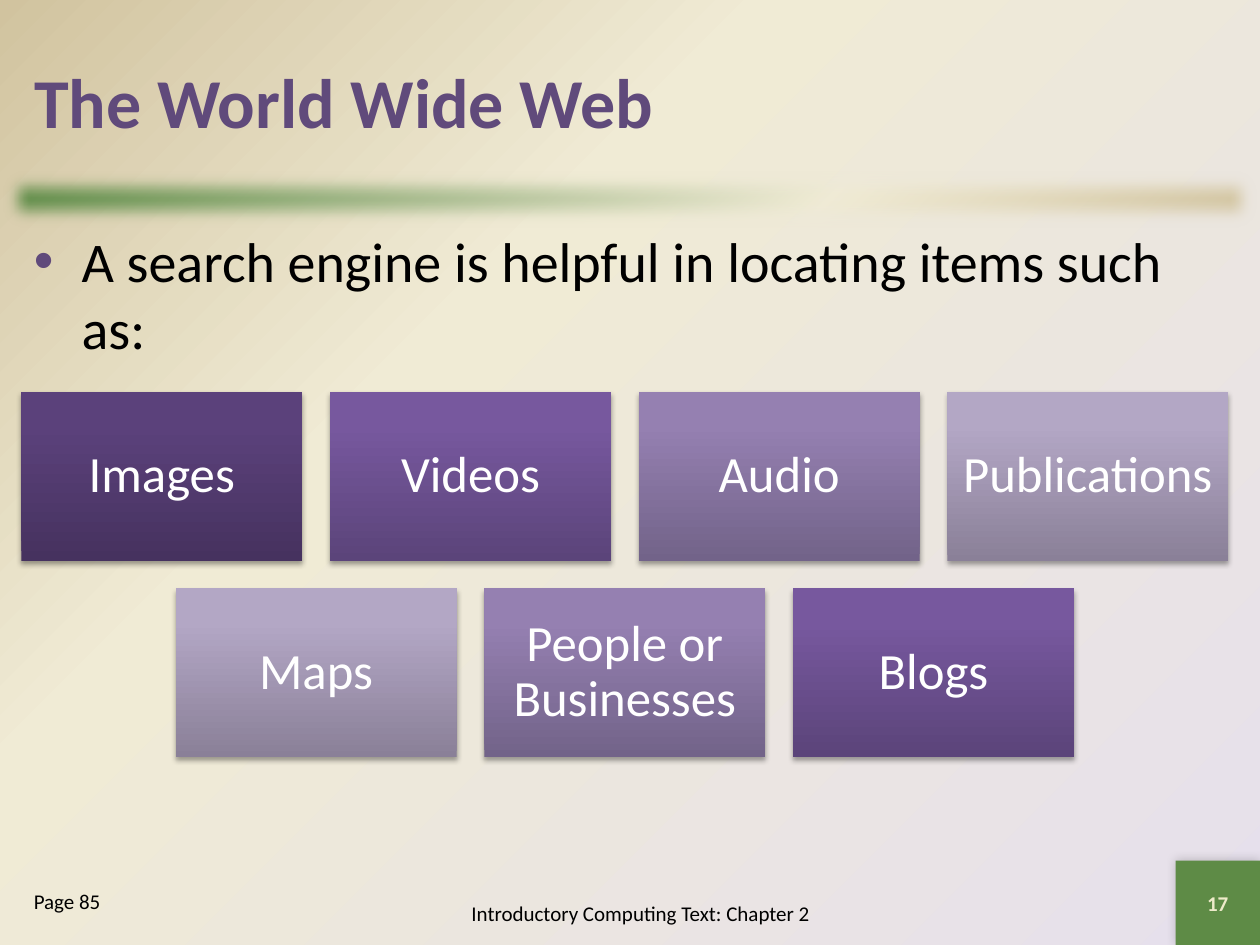
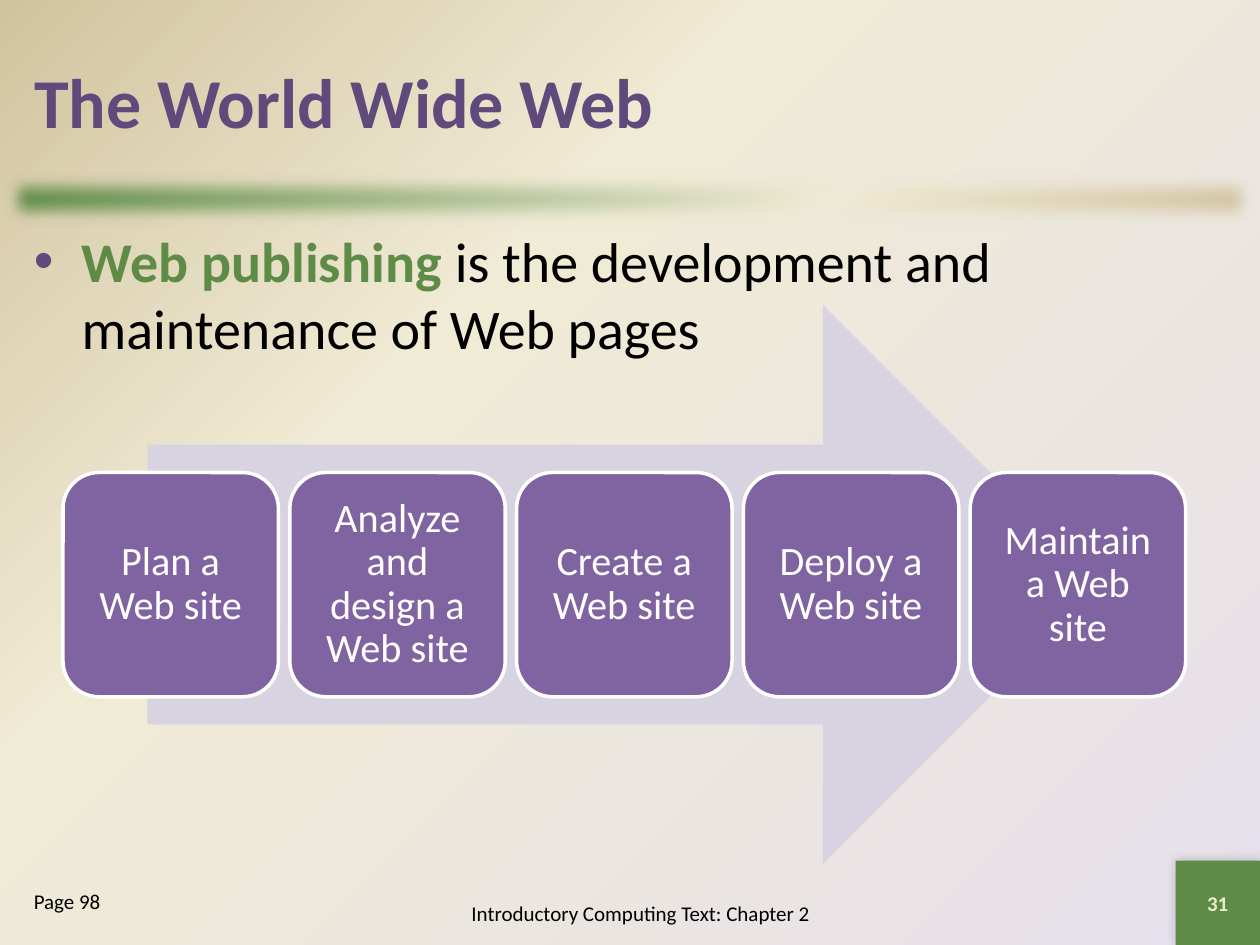
from pptx import Presentation
from pptx.dml.color import RGBColor
from pptx.enum.shapes import MSO_SHAPE
from pptx.enum.text import MSO_ANCHOR, PP_ALIGN
from pptx.oxml import parse_xml
from pptx.oxml.ns import nsdecls, qn
from pptx.util import Inches, Pt

FONT = "Calibri"
TITLE = "The World Wide Web"
FOOTER = "Introductory Computing Text: Chapter 2"
COLORS = {
    "title": "604A7B", "accent": "5E8B46", "text": "000000", "white": "FFFFFF",
    "number": "EEEBCA", "cream": "F0EBD5", "tan": "D1C39F", "lilac": "E6E0EC",
    "arrow": "D8D3E0", "step": "8064A2",
}
# Gradients of the search tiles, bottom to top
SHADES = {
    "darkest": [(0, "46325F"), (80, "5B417B"), (100, "5B407C")],
    "dark": [(0, "5B447A"), (80, "77589E"), (100, "7757A0")],
    "medium": [(0, "726389"), (80, "9580B1"), (100, "9580B3")],
    "light": [(0, "8A8098"), (80, "B3A7C5"), (100, "B4A7C7")],
}
TILE_ROWS = [
    [("Images", "darkest"), ("Videos", "dark"), ("Audio", "medium"),
     ("Publications", "light")],
    [("Maps", "light"), ("People or Businesses", "medium"), ("Blogs", "dark")],
]
STEPS = ["Plan a Web site", "Analyze and design a Web site", "Create a Web site",
         "Deploy a Web site", "Maintain a Web site"]
CORNER = ('<a:path path="circle"><a:fillToRect l="100000" t="100000"/></a:path>'
          '<a:tileRect r="-100000" b="-100000"/>')


def rgb(name):
    return RGBColor.from_string(COLORS[name])


def linear(degrees):
    return f'<a:lin ang="{degrees * 60000}" scaled="0"/>'


def paint_gradient(properties, stops, direction):
    """Swap the solid fill inside a properties element for a gradient."""
    marks = "".join(f'<a:gs pos="{pos * 1000}"><a:srgbClr val="{color}"/></a:gs>'
                    for pos, color in stops)
    gradient = parse_xml(f'<a:gradFill {nsdecls("a")} rotWithShape="1">'
                         f'<a:gsLst>{marks}</a:gsLst>{direction}</a:gradFill>')
    properties.replace(properties.find(qn("a:solidFill")), gradient)


def add_effect(shape, xml):
    shape._element.spPr.find(qn("a:effectLst")).append(parse_xml(xml))


def add_shadow(shape, alpha, blur, distance, degrees):
    add_effect(shape, f'<a:outerShdw {nsdecls("a")} blurRad="{Pt(blur)}" '
               f'dist="{Pt(distance)}" dir="{degrees * 60000}" algn="ctr" '
               f'rotWithShape="0"><a:srgbClr val="000000">'
               f'<a:alpha val="{alpha * 1000}"/></a:srgbClr></a:outerShdw>')


def place(shape, box):
    shape.left, shape.top, shape.width, shape.height = map(Inches, box)


def add_shape(slide, kind, box, fill):
    shape = slide.shapes.add_shape(kind, *map(Inches, box))
    shape.fill.solid()
    shape.fill.fore_color.rgb = rgb(fill)
    shape.line.fill.background()
    shape.shadow.inherit = False
    return shape


def write(shape, runs, size, align=PP_ALIGN.LEFT, anchor=MSO_ANCHOR.TOP,
          inset=None, spacing=None):
    """Fill a shape with one paragraph of (text, color, bold) runs."""
    frame = shape.text_frame
    frame.word_wrap = True
    frame.vertical_anchor = anchor
    if inset is not None:
        frame.margin_left = frame.margin_right = Inches(inset)
        frame.margin_top = frame.margin_bottom = Inches(inset)
    paragraph = frame.paragraphs[0]
    paragraph.alignment = align
    if spacing:
        paragraph.line_spacing = spacing
    for text, color, bold in runs:
        run = paragraph.add_run()
        run.text = text
        run.font.name = FONT
        run.font.size = Pt(size)
        run.font.bold = bold
        run.font.color.rgb = rgb(color)
    return paragraph


def write_label(shape, text, size, inset):
    write(shape, [(text, "white", False)], size, PP_ALIGN.CENTER,
          MSO_ANCHOR.MIDDLE, inset, 0.9)


def add_text(slide, box, runs, size, **options):
    return write(slide.shapes.add_textbox(*map(Inches, box)), runs, size, **options)


def add_bullet(slide, runs):
    paragraph = add_text(slide, (0.17, 1.75, 9.67, 1.3), runs, 32)
    properties = paragraph._p.get_or_add_pPr()
    properties.set("marL", str(Inches(0.38)))
    properties.set("indent", str(-Inches(0.38)))
    for xml in (f'<a:buClr {nsdecls("a")}><a:srgbClr val="{COLORS["title"]}"/></a:buClr>',
                f'<a:buFont {nsdecls("a")} typeface="Arial"/>',
                f'<a:buChar {nsdecls("a")} char="•"/>'):
        properties.append(parse_xml(xml))


def set_background(master):
    master.background.fill.solid()
    properties = master._element.find(".//" + qn("p:bgPr"))
    paint_gradient(properties, [(0, COLORS["lilac"]), (65, COLORS["cream"]),
                                (100, COLORS["tan"])], CORNER)


def add_base_slide(prs, number, page):
    slide = prs.slides.add_slide(prs.slide_layouts[5])

    # Title
    title = slide.shapes.title
    place(title, (0.17, 0.17, 9.67, 1.25))
    write(title, [(TITLE, "title", True)], 40, anchor=MSO_ANCHOR.MIDDLE)

    # Soft band under the title
    band = add_shape(slide, MSO_SHAPE.RECTANGLE, (0, 1.33, 10, 0.5), "accent")
    paint_gradient(band._element.spPr, [(0, COLORS["accent"]), (65, COLORS["cream"]),
                                        (100, COLORS["tan"])], linear(45))
    add_effect(band, f'<a:softEdge {nsdecls("a")} rad="{Inches(0.14)}"/>')

    # Number square and footers
    square = add_shape(slide, MSO_SHAPE.RECTANGLE, (9.33, 6.83, 0.67, 0.67), "accent")
    add_shadow(square, 20, 6, 0, 225)
    write(square, [(str(number), "number", True)], 12, PP_ALIGN.CENTER,
          MSO_ANCHOR.MIDDLE)
    add_text(slide, (3, 7, 4.17, 0.5), [(FOOTER, "text", False)], 12,
             align=PP_ALIGN.CENTER, anchor=MSO_ANCHOR.MIDDLE)
    add_text(slide, (0.17, 7, 1.83, 0.5), [(f"Page {page}", "text", False)], 12)
    return slide


def add_search_tiles(slide):
    width, height, gap, center, top = 2.23, 1.34, 0.22, 4.96, 3.11
    for row, tiles in enumerate(TILE_ROWS):
        left = center - (len(tiles) * (width + gap) - gap) / 2
        for column, (label, shade) in enumerate(tiles):
            box = (left + column * (width + gap), top + row * (height + gap),
                   width, height)
            tile = add_shape(slide, MSO_SHAPE.RECTANGLE, box, "step")
            paint_gradient(tile._element.spPr, SHADES[shade], linear(270))
            add_shadow(tile, 35, 3.1, 1.8, 90)
            write_label(tile, label, 29, 0.12)


def add_publishing_steps(slide):
    add_shape(slide, MSO_SHAPE.RIGHT_ARROW, (1.17, 2.42, 7.58, 4.44), "arrow")
    for index, label in enumerate(STEPS):
        step = add_shape(slide, MSO_SHAPE.ROUNDED_RECTANGLE,
                         (0.5 + index * 1.8, 3.75, 1.71, 1.78), "step")
        step.line.color.rgb = rgb("white")
        step.line.width = Pt(2)
        write_label(step, label, 23, 0.1)


def main():
    prs = Presentation()
    prs.slide_width, prs.slide_height = Inches(10), Inches(7.5)
    set_background(prs.slide_master)

    # Search engines
    search = add_base_slide(prs, 17, 85)
    add_bullet(search, [("A search engine is helpful in locating items such as:",
                         "text", False)])
    add_search_tiles(search)

    # Web publishing
    publishing = add_base_slide(prs, 31, 98)
    add_bullet(publishing, [("Web publishing ", "accent", True),
                            ("is the development and maintenance of Web pages",
                             "text", False)])
    add_publishing_steps(publishing)

    prs.save("out.pptx")


if __name__ == "__main__":
    main()
